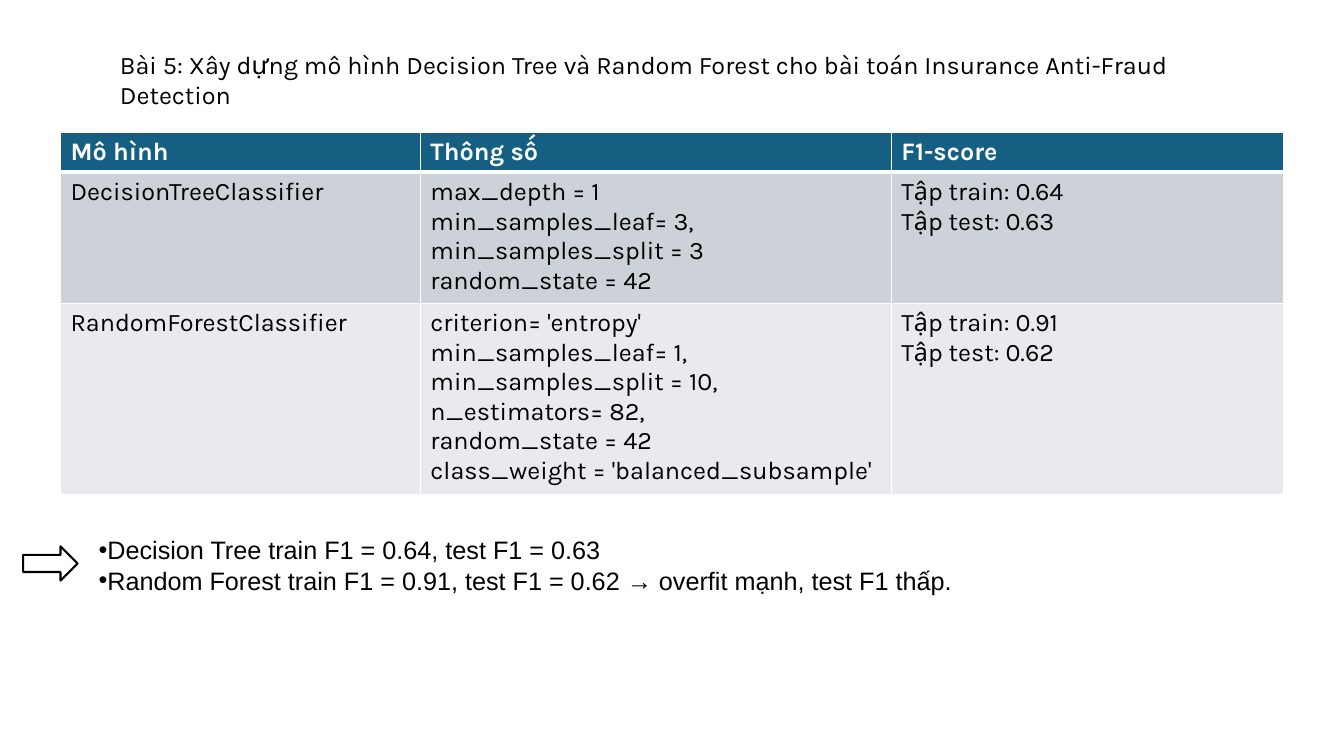
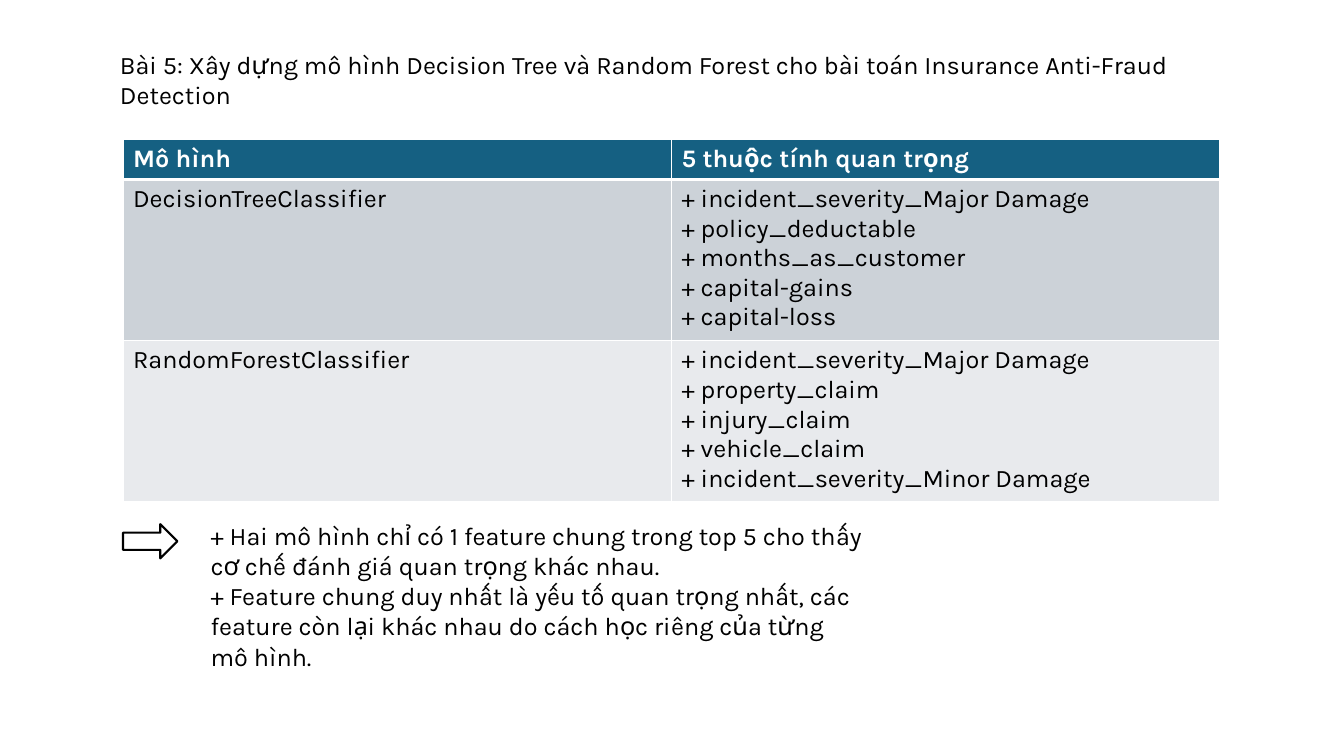
from lxml import etree
from pptx import Presentation
from pptx.dml.color import RGBColor
from pptx.enum.shapes import MSO_SHAPE
from pptx.enum.text import MSO_ANCHOR, PP_ALIGN
from pptx.oxml.ns import qn
from pptx.util import Emu, Pt

ARROW = MSO_SHAPE.RIGHT_ARROW
TOP, MIDDLE = MSO_ANCHOR.TOP, MSO_ANCHOR.MIDDLE
LEFT = PP_ALIGN.LEFT
PX = 9144
LINE_H, CELL_PAD = 30, 10
COLORS = {"text": "000000", "white": "FFFFFF", "header": "156082",
          "band_dark": "CCD2D8", "band_light": "E8EAED"}
TITLE = ("Bài 5: Xây dựng mô hình Decision Tree và Random Forest "
         "cho bài toán Insurance Anti-Fraud Detection")
TITLE_BOX = (109, 44, 1115, 71)
ARROW_SIZE = (54, 34)


def px(*lengths):
    """Turn px lengths into EMU."""
    return [Emu(n * PX) for n in lengths]


def rgb(name):
    """Look up a named colour."""
    return RGBColor.from_string(COLORS[name])


def write(tf, text, font="Karla", color="text", bold=False, anchor=TOP, bullet=None):
    """Fill a text frame, one paragraph per line of text."""
    tf.word_wrap = True
    tf.vertical_anchor = anchor
    for i, line in enumerate(text.split("\n")):
        p = tf.add_paragraph() if i else tf.paragraphs[0]
        p.alignment = LEFT
        r = p.add_run()
        r.text = line
        r.font.name, r.font.size, r.font.bold = font, Pt(18), bold
        r.font.color.rgb = rgb(color)
        if bullet:
            pPr = p._p.get_or_add_pPr()
            pPr.set("marL", "0")
            pPr.set("indent", "0")
            etree.SubElement(pPr, qn("a:buFont"), typeface="Arial")
            etree.SubElement(pPr, qn("a:buChar"), char=bullet)


def set_borders(cell, top, bottom):
    """Draw white cell borders with the given top and bottom points."""
    tcPr = cell._tc.get_or_add_tcPr()
    for i, (side, width) in enumerate((("L", 1), ("R", 1), ("T", top), ("B", bottom))):
        ln = etree.Element(qn(f"a:ln{side}"), w=str(Pt(width)))
        fill = etree.SubElement(ln, qn("a:solidFill"))
        etree.SubElement(fill, qn("a:srgbClr"), val=COLORS["white"])
        tcPr.insert(i, ln)


def add_titled_slide(prs):
    """Add a slide with the shared title."""
    slide = prs.slides.add_slide(prs.slide_layouts[5])
    sp = slide.shapes.title
    sp.left, sp.top, sp.width, sp.height = px(*TITLE_BOX)
    write(sp.text_frame, TITLE)
    return slide


def add_model_table(slide, left, top, col_widths, rows):
    """Add a table with a header row and alternating bands."""
    heights = [LINE_H * max(t.count("\n") + 1 for t in row) + CELL_PAD for row in rows]
    table = slide.shapes.add_table(
        len(rows), len(col_widths),
        *px(left, top, sum(col_widths), sum(heights))).table
    for col, width in zip(table.columns, col_widths):
        col.width = Emu(width * PX)
    for i, (row, height) in enumerate(zip(rows, heights)):
        table.rows[i].height = Emu(height * PX)
        band = "header" if i == 0 else ("band_light", "band_dark")[i % 2]
        for j, text in enumerate(row):
            cell = table.cell(i, j)
            cell.fill.solid()
            cell.fill.fore_color.rgb = rgb(band)
            set_borders(cell, 3 if i == 1 else 1, 3 if i == 0 else 1)
            write(cell.text_frame, text, color="text" if i else "white", bold=i == 0)


def add_conclusion(slide, box, arrow_at, text, **fmt):
    """Add a text box with an arrow pointing to it."""
    sp = slide.shapes.add_shape(ARROW, *px(*arrow_at, *ARROW_SIZE))
    sp.shadow.inherit = False
    sp.fill.solid()
    sp.fill.fore_color.rgb = rgb("white")
    sp.line.color.rgb = rgb("text")
    sp.line.width = Pt(1.5)
    write(slide.shapes.add_textbox(*px(*box)).text_frame, text, **fmt)


def build_scores(prs):
    """Build the slide of parameters and F1 scores."""
    slide = add_titled_slide(prs)
    add_model_table(slide, 60, 131, (357, 467, 389), (
        ("Mô hình", "Thông số", "F1-score"),
        ("DecisionTreeClassifier",
         "max_depth = 1\nmin_samples_leaf= 3,\nmin_samples_split = 3\nrandom_state = 42",
         "Tập train: 0.64\nTập test: 0.63"),
        ("RandomForestClassifier",
         "criterion= 'entropy'\nmin_samples_leaf= 1,\nmin_samples_split = 10,\n"
         "n_estimators= 82,\nrandom_state = 42\nclass_weight = 'balanced_subsample'",
         "Tập train: 0.91\nTập test: 0.62")))
    add_conclusion(slide, (88, 525, 1204, 71), (23, 542),
                   "Decision Tree train F1 = 0.64, test F1 = 0.63\n"
                   "Random Forest train F1 = 0.91, test F1 = 0.62 → overfit mạnh, test F1 thấp.",
                   font="Arial", anchor=MIDDLE, bullet="•")


def build_features(prs):
    """Build the slide of the most important features."""
    slide = add_titled_slide(prs)
    add_model_table(slide, 122, 138, (544, 544), (
        ("Mô hình", "5 thuộc tính quan trọng"),
        ("DecisionTreeClassifier",
         "+ incident_severity_Major Damage\n+ policy_deductable\n"
         "+ months_as_customer\n+ capital-gains\n+ capital-loss"),
        ("RandomForestClassifier",
         "+ incident_severity_Major Damage\n+ property_claim\n"
         "+ injury_claim\n+ vehicle_claim\n+ incident_severity_Minor Damage")))
    add_conclusion(slide, (199, 511, 667, 162), (122, 520),
                   "+ Hai mô hình chỉ có 1 feature chung trong top 5 cho thấy "
                   "cơ chế đánh giá quan trọng khác nhau.\n"
                   "+ Feature chung duy nhất là yếu tố quan trọng nhất, các feature "
                   "còn lại khác nhau do cách học riêng của từng mô hình.")


def main():
    """Build and save the presentation."""
    prs = Presentation()
    prs.slide_width, prs.slide_height = px(1333, 750)
    build_scores(prs)
    build_features(prs)
    prs.save("out.pptx")


if __name__ == "__main__":
    main()
